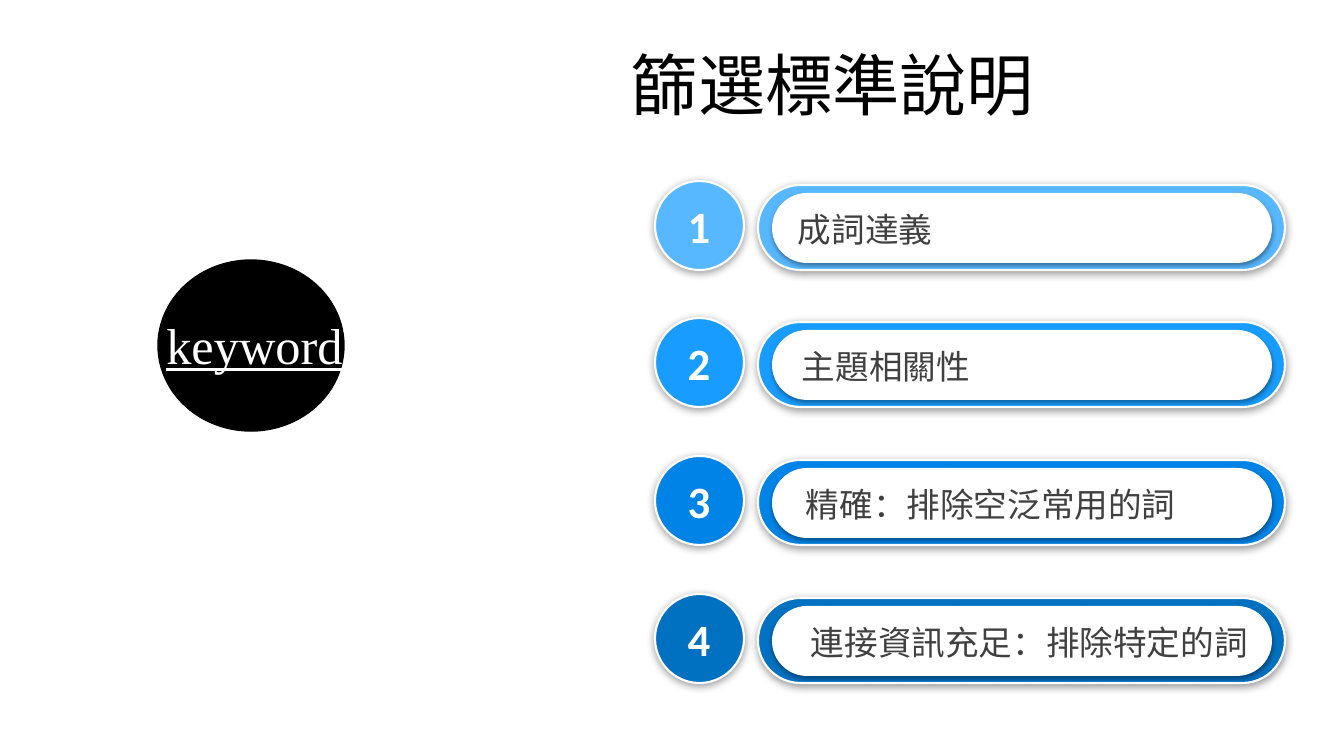
from lxml import etree
from pptx import Presentation
from pptx import util as u
from pptx.dml.color import RGBColor
from pptx.enum import shapes as kinds, text as t
from pptx.oxml import ns

EMU_PER_PX = 914400 / 100.8
CJK, LATIN, SERIF = "Noto Sans CJK SC", "Calibri", "Times New Roman"
CRITERIA = [
    ("成詞達義", "57B7FF"),
    ("主題相關性", "199CFF"),
    ("精確：排除空泛常用的詞", "0083E6"),
    ("連接資訊充足：排除特定的詞", "0070C0"),
]
FIRST_ROW, LAST_ROW = 181, 594
FIRST_LABEL, LAST_LABEL = 788, 801


def px(*lengths):
    return [u.Emu(round(length * EMU_PER_PX)) for length in lengths]


def color(hex_code):
    return RGBColor.from_string(hex_code)


def add_shadow(shape, alpha, blur, distance):
    """Drop a black shadow straight down: alpha in percent, lengths in points."""
    effects = shape._element.spPr.find(ns.qn("a:effectLst"))
    shadow = etree.SubElement(
        effects, ns.qn("a:outerShdw"), blurRad=str(u.Pt(blur)),
        dist=str(u.Pt(distance)), dir="5400000", algn="t", rotWithShape="0")
    black = etree.SubElement(shadow, ns.qn("a:srgbClr"), val="000000")
    etree.SubElement(black, ns.qn("a:alpha"), val=str(alpha * 1000))


def add_form(slide, kind, box, fill, line=None, width=1.5, shadow=None):
    form = slide.shapes.add_shape(kind, *px(*box))
    form.shadow.inherit = False
    form.fill.solid()
    form.fill.fore_color.rgb = color(fill)
    if line:
        form.line.color.rgb = color(line)
        form.line.width = u.Pt(width)
    else:
        form.line.fill.background()
    if shadow:
        add_shadow(form, *shadow)
    return form


def add_pill(slide, box, fill, **style):
    add_form(slide, kinds.MSO_SHAPE.ROUNDED_RECTANGLE, box, fill,
             **style).adjustments[0] = 0.5


def add_text(slide, words, box, *, size, font, ink, bold=False, underline=False,
             align=t.PP_ALIGN.LEFT, anchor=t.MSO_ANCHOR.TOP, wrap=True):
    frame = slide.shapes.add_textbox(*px(*box)).text_frame
    frame.word_wrap = wrap
    frame.vertical_anchor = anchor
    paragraph = frame.paragraphs[0]
    paragraph.alignment = align
    run = paragraph.add_run()
    run.text = words
    run.font.size = u.Pt(size)
    run.font.name = font
    run.font.bold = bold
    run.font.underline = underline
    run.font.color.rgb = color(ink)
    east_asian = etree.SubElement(run._r.get_or_add_rPr(), ns.qn("a:ea"))
    east_asian.set("typeface", font)


def add_criterion(slide, number, words, tint, top, label_left):
    rim = dict(line="FFFFFF", shadow=(38, 6, 1.6))
    add_pill(slide, (758, top + 4, 527, 85), tint, **rim)
    add_pill(slide, (772, top + 12, 500, 70), "FFFFFF", shadow=(35, 3.1, 1.8))
    add_text(slide, words, (label_left, top + 23, 470, 50), size=24, font=CJK,
             ink="404040", wrap=False)
    add_form(slide, kinds.MSO_SHAPE.OVAL, (655, top, 89, 89), tint, **rim)
    add_text(slide, str(number), (669, top + 12, 60, 65), size=32, font=LATIN,
             ink="FFFFFF", bold=True, align=t.PP_ALIGN.CENTER,
             anchor=t.MSO_ANCHOR.MIDDLE)


def main():
    deck = Presentation()
    deck.slide_width, deck.slide_height = px(1344, 756)
    slide = deck.slides.add_slide(deck.slide_layouts[6])

    add_text(slide, "篩選標準說明", (621, 39, 723, 89), size=48, font=CJK,
             ink="000000", anchor=t.MSO_ANCHOR.MIDDLE)

    gaps = len(CRITERIA) - 1
    for i, (words, tint) in enumerate(CRITERIA):
        top = FIRST_ROW + (LAST_ROW - FIRST_ROW) * i // gaps
        label_left = FIRST_LABEL + (LAST_LABEL - FIRST_LABEL) * i // gaps
        add_criterion(slide, i + 1, words, tint, top, label_left)

    add_form(slide, kinds.MSO_SHAPE.OVAL, (158, 260, 186, 171), "000000",
             line="000000", width=1)
    add_text(slide, "keyword", (106, 309, 297, 72), size=36, font=SERIF,
             ink="FFFFFF", underline=True, align=t.PP_ALIGN.CENTER)

    deck.save("out.pptx")


if __name__ == "__main__":
    main()
